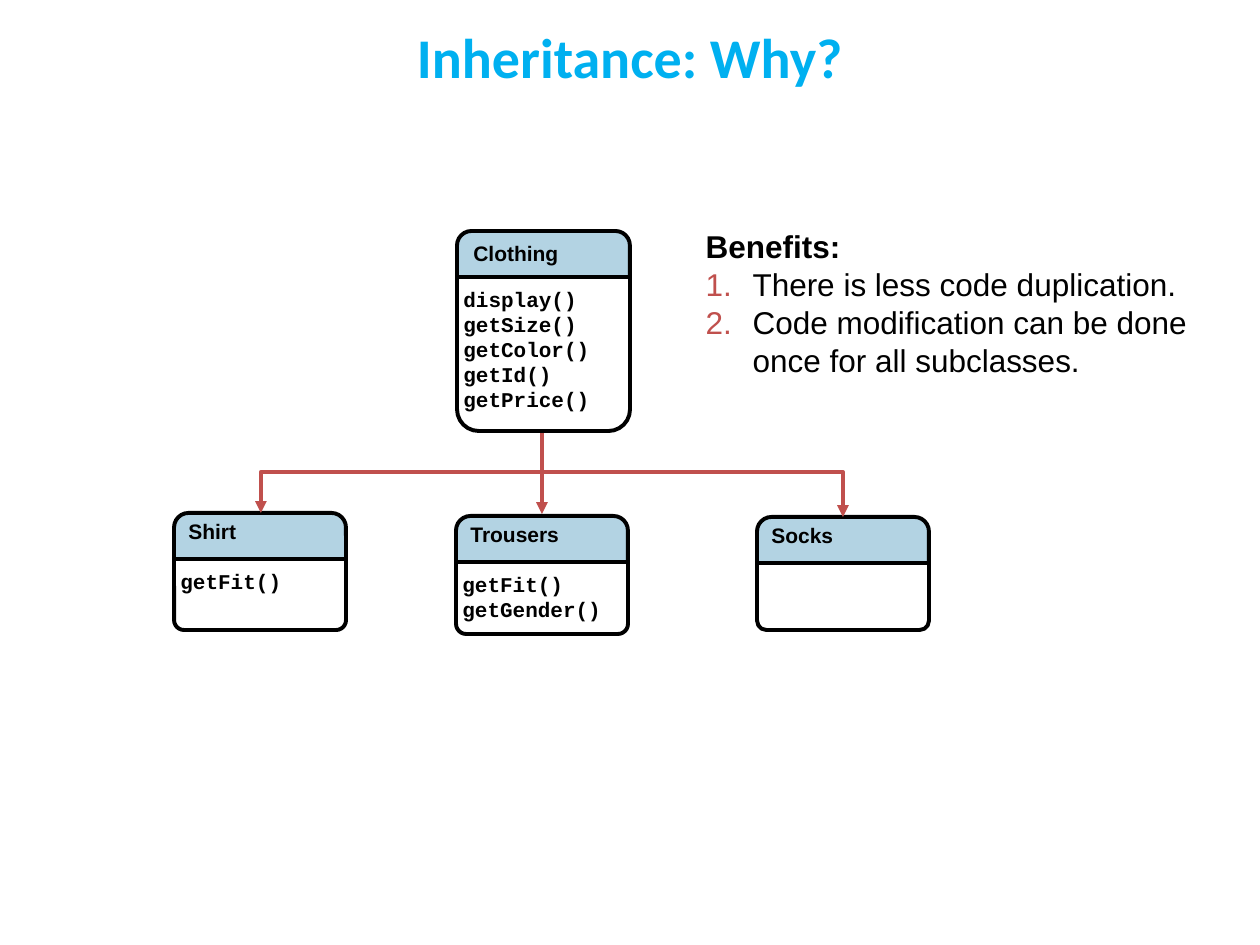
from lxml import etree
from pptx import Presentation
from pptx import util as u
from pptx.dml.color import RGBColor
from pptx.enum import shapes, text
from pptx.oxml.ns import qn

EMU_PER_PX = 914400 // 126

BLACK = RGBColor(0x00, 0x00, 0x00)
WHITE = RGBColor(0xFF, 0xFF, 0xFF)
HEADER_BLUE = RGBColor(0xB3, 0xD3, 0xE3)
ARROW_RED = RGBColor(0xC0, 0x50, 0x4D)
TITLE_BLUE = RGBColor(0x00, 0xB0, 0xF0)

HEADER_HEIGHT = 91
BODY_OFFSET = 46


def px(*lengths):
    return [u.Emu(length * EMU_PER_PX) for length in lengths]


class ClassDiagram:
    """Holds the slide and the style shared by its elements."""

    sans, mono, heading = "Arial", "Courier New", "Calibri"
    line_width = u.Pt(2.25)

    def __init__(self, slide):
        self.slide = slide

    def add_run(self, paragraph, words, font, size, color=BLACK, bold=False):
        run = paragraph.add_run()
        run.text = words
        run.font.name = font
        run.font.size = u.Pt(size)
        run.font.bold = bold
        run.font.color.rgb = color

    def place(self, shape, left, top, width, height):
        shape.left, shape.top, shape.width, shape.height = px(left, top, width, height)

    def title(self, words, *box):
        title = self.slide.shapes.title
        self.place(title, *box)
        frame = title.text_frame
        frame.auto_size = text.MSO_AUTO_SIZE.NONE
        frame.margin_top = frame.margin_bottom = 0
        frame.vertical_anchor = text.MSO_ANCHOR.MIDDLE
        paragraph = frame.paragraphs[0]
        paragraph.alignment = text.PP_ALIGN.CENTER
        self.add_run(paragraph, words, self.heading, 32, TITLE_BLUE, bold=True)

    def numbered_list(self, heading, items, *box):
        body = self.slide.placeholders[1]
        self.place(body, *box)
        frame = body.text_frame
        frame.auto_size = text.MSO_AUTO_SIZE.NONE
        for index, words in enumerate([heading, *items]):
            paragraph = frame.paragraphs[0] if index == 0 else frame.add_paragraph()
            paragraph.space_before = u.Pt(0)
            self.set_bullet(paragraph, numbered=index > 0)
            self.add_run(paragraph, words, self.sans, 18, bold=index == 0)

    def set_bullet(self, paragraph, numbered):
        indent = px(47)[0]
        properties = paragraph._p.get_or_add_pPr()
        properties.set("marL", str(indent))
        properties.set("indent", str(-indent))
        if not numbered:
            etree.SubElement(properties, qn("a:buNone"))
            return
        color = etree.SubElement(properties, qn("a:buClr"))
        etree.SubElement(color, qn("a:srgbClr"), val=str(ARROW_RED))
        etree.SubElement(properties, qn("a:buFont"), typeface="+mj-lt")
        etree.SubElement(properties, qn("a:buAutoNum"), type="arabicPeriod")

    def panel(self, group, box, fill, roundness):
        shape = group.shapes.add_shape(
            shapes.MSO_SHAPE.ROUND_2_SAME_RECTANGLE, *px(*box))
        shape.adjustments[0] = roundness
        shape.shadow.inherit = False
        shape.fill.solid()
        shape.fill.fore_color.rgb = fill
        shape.line.color.rgb = BLACK
        shape.line.width = self.line_width
        return shape

    def label(self, group, lines, box, font, wrap):
        frame = group.shapes.add_textbox(*px(*box)).text_frame
        frame.word_wrap = wrap
        frame.auto_size = text.MSO_AUTO_SIZE.SHAPE_TO_FIT_TEXT
        for index, words in enumerate(lines):
            paragraph = frame.paragraphs[0] if index == 0 else frame.add_paragraph()
            self.add_run(paragraph, words, font, 12, bold=True)

    def class_card(self, name, methods, left, top, body_height, name_width,
                   width=172, name_shift=(2, -1)):
        """Draw a class: its name on a header and its methods below."""
        group = self.slide.shapes.add_group_shape()
        body_top = top + BODY_OFFSET
        self.panel(group, (left, top, width, HEADER_HEIGHT), HEADER_BLUE, 0.16)
        body = self.panel(group, (left, body_top, width, body_height), WHITE, 0.14)
        body.rotation = 180
        shift_x, shift_y = name_shift
        self.label(group, [name], (left + shift_x, top + shift_y, name_width, 38),
                   self.sans, wrap=False)
        if methods:
            self.label(group, methods,
                       (left - 6, body_top + 3, 190, 13 + 25 * len(methods)),
                       self.mono, wrap=True)

    def arrow(self, *ends, bent=False):
        kind = shapes.MSO_CONNECTOR.ELBOW if bent else shapes.MSO_CONNECTOR.STRAIGHT
        connector = self.slide.shapes.add_connector(kind, *px(*ends))
        connector.line.color.rgb = ARROW_RED
        connector.line.width = self.line_width
        properties = connector._element.spPr
        if bent:
            properties.find(qn("a:prstGeom")).set("prst", "bentConnector2")
        etree.SubElement(connector.line._get_or_add_ln(), qn("a:tailEnd"), type="triangle")
        etree.SubElement(properties, qn("a:effectLst"))


def main():
    presentation = Presentation()
    presentation.slide_width, presentation.slide_height = px(1260, 945)
    slide = presentation.slides.add_slide(presentation.slide_layouts[1])
    diagram = ClassDiagram(slide)

    diagram.title("Inheritance: Why?", 63, 22, 1134, 68)
    diagram.numbered_list(
        "Benefits:",
        ["There is less code duplication.",
         "Code modification can be done once for all subclasses."],
        693, 221, 547, 165)

    diagram.arrow(542, 431, 542, 514)
    diagram.class_card("Shirt", ["getFit()"], 174, 513, 71, 74)
    diagram.class_card("Trousers", ["getFit()", "getGender()"], 456, 516, 72, 115)
    diagram.class_card("Socks", [], 757, 517, 67, 88)
    diagram.arrow(567, 472, 261, 513, bent=True)
    diagram.arrow(556, 472, 843, 517, bent=True)
    diagram.class_card(
        "Clothing",
        ["display()", "getSize()", "getColor()", "getId()", "getPrice()"],
        457, 231, 154, 112, width=173, name_shift=(4, 3))

    presentation.save("out.pptx")


if __name__ == "__main__":
    main()
